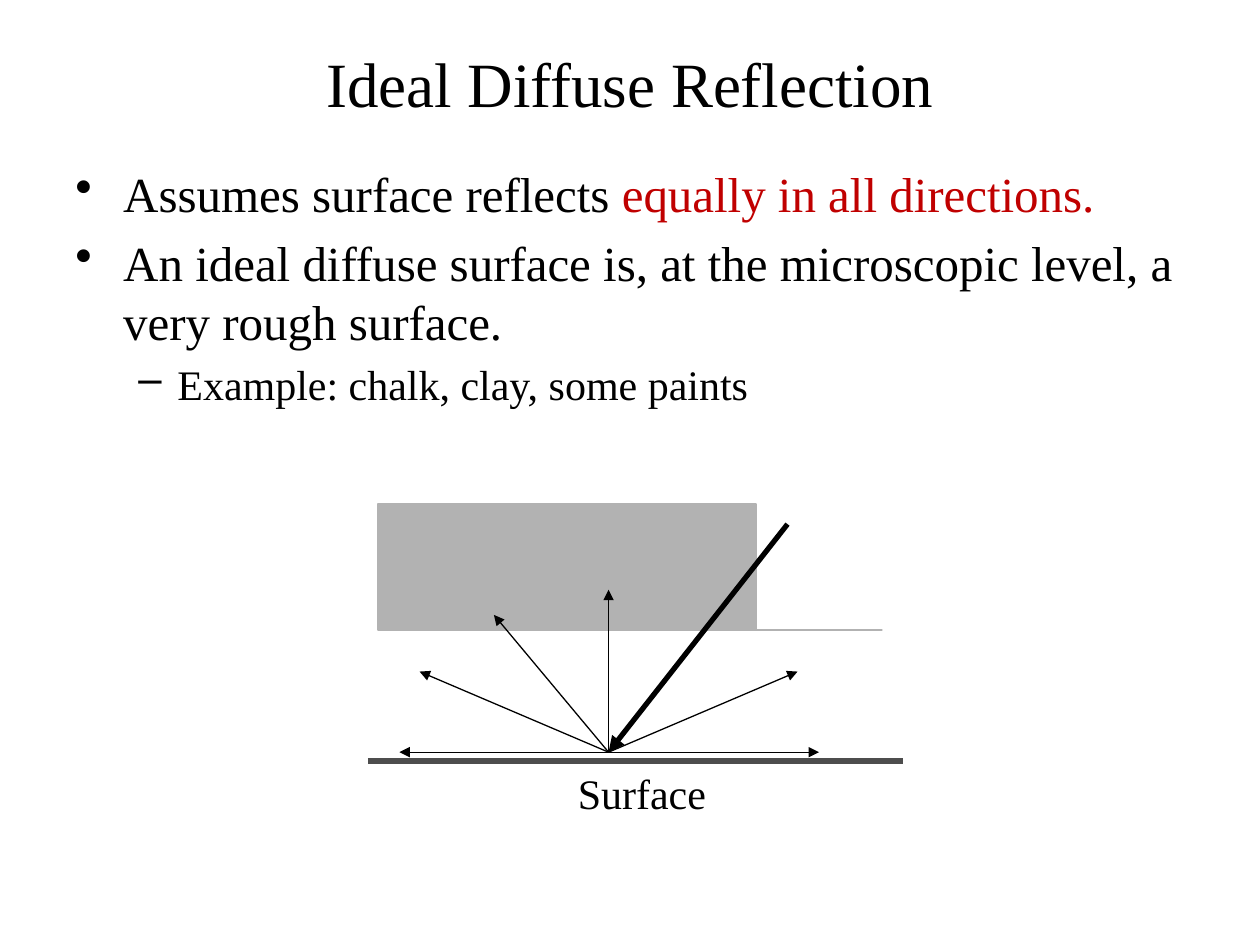
from dataclasses import dataclass
from math import cos, pi, sin

from pptx import Presentation
from pptx.dml.color import RGBColor
from pptx.enum.shapes import MSO_CONNECTOR as Connector
from pptx.enum.text import MSO_ANCHOR as Anchor, PP_ALIGN as Align
from pptx.oxml.xmlchemy import OxmlElement
from pptx.util import Inches, Pt

FONT = "Times New Roman"
COLORS = {"ink": "000000", "accent": "C00000", "dome": "B2B2B2",
          "hatch": "808080", "ground": "4D4D4D"}
WIDTH, HEIGHT = 10, 7.5
MARGIN = WIDTH / 20
HIT = (4.83, 5.97)  # where the light meets the surface
GROUND_Y = 6.04

Point = tuple[float, float]


@dataclass
class Bullet:
    runs: list[tuple[str, str]]  # text, colour name
    size: int = 28
    level: int = 0
    mark: str = "•"
    indent: float = 0.38
    hanging: float = 0.38


@dataclass
class Ray:
    start: Point
    end: Point
    width: float = 0.75
    color: str = "ink"
    arrow: bool = True


BULLETS = [
    Bullet([("Assumes surface reflects ", "ink"),
            ("equally in all directions.", "accent")]),
    Bullet([("An ideal diffuse surface is, at the microscopic level, "
             "a very rough surface.", "ink")]),
    Bullet([("Example: chalk, clay, some paints", "ink")],
           size=24, level=1, mark="–", indent=0.81, hanging=0.31),
]
REFLECTED_ENDS = [(3.92, 4.88), (3.33, 5.33), (6.33, 5.33),
                  (HIT[0], 4.68), (3.17, HIT[1]), (6.5, HIT[1])]
HATCH = [(2.92, GROUND_Y), (3.12, GROUND_Y), (3.12, 6.15), (3.11, 6.26),
         (3.09, 6.19), (3.07, 6.33), (3.03, 6.3), (3.01, 6.44), (2.99, 6.37),
         (2.97, 6.33), (2.95, 6.41), (2.93, 6.26), (2.92, 6.26)]


def rgb(name: str) -> RGBColor:
    return RGBColor.from_string(COLORS[name])


def style_font(font, size: int, color: str = "ink") -> None:
    font.name, font.size = FONT, Pt(size)
    font.color.rgb = rgb(color)


def add_text_frame(slide, left, top, width, height, wrap=True, anchor=Anchor.TOP):
    box = slide.shapes.add_textbox(*map(Inches, (left, top, width, height)))
    box.text_frame.word_wrap = wrap
    box.text_frame.vertical_anchor = anchor
    return box.text_frame


def add_label(slide, text: str, size: int, area, wrap: bool) -> None:
    paragraph = add_text_frame(slide, *area, wrap, Anchor.MIDDLE).paragraphs[0]
    paragraph.text = text
    paragraph.alignment = Align.CENTER
    style_font(paragraph.runs[0].font, size)


def write_bullet(paragraph, bullet: Bullet, first: bool) -> None:
    paragraph.level = bullet.level
    paragraph.space_before = Pt(0 if first else bullet.size * 0.2)
    properties = paragraph._p.get_or_add_pPr()
    properties.set("marL", str(Inches(bullet.indent)))
    properties.set("indent", str(-Inches(bullet.hanging)))
    mark = OxmlElement("a:buChar")
    mark.set("char", bullet.mark)
    properties.append(mark)
    for text, color in bullet.runs:
        run = paragraph.add_run()
        run.text = text
        style_font(run.font, bullet.size, color)


def arc(center: Point, radii: Point, start: float, end: float, steps: int) -> list[Point]:
    angles = [start + (end - start) * i / steps for i in range(steps + 1)]
    return [(center[0] + radii[0] * cos(a), center[1] - radii[1] * sin(a)) for a in angles]


def add_outline(slide, points: list[Point], color: str) -> None:
    first, *rest = points
    builder = slide.shapes.build_freeform(*first, scale=Inches(1))
    builder.add_line_segments(rest, close=True)
    shape = builder.convert_to_shape()
    shape.shadow.inherit = False
    shape.fill.solid()
    shape.fill.fore_color.rgb = rgb(color)
    shape.line.color.rgb = rgb(color)
    shape.line.width = Pt(0.75)


def add_ray(slide, ray: Ray) -> None:
    connector = slide.shapes.add_connector(
        Connector.STRAIGHT, *map(Inches, (*ray.start, *ray.end)))
    connector.line.color.rgb = rgb(ray.color)
    connector.line.width = Pt(ray.width)
    if ray.arrow:
        arrowhead = OxmlElement("a:tailEnd")
        arrowhead.set("type", "triangle")
        connector.line._get_or_add_ln().append(arrowhead)
    connector._element.spPr.append(OxmlElement("a:effectLst"))


def main() -> None:
    presentation = Presentation()
    presentation.slide_width, presentation.slide_height = Inches(WIDTH), Inches(HEIGHT)
    slide = presentation.slides.add_slide(presentation.slide_layouts[6])
    content_width = WIDTH - 2 * MARGIN

    # Title and bullets
    add_label(slide, "Ideal Diffuse Reflection", 36, (MARGIN, 0.3, content_width, 0.7), True)
    body = add_text_frame(slide, MARGIN, 1.25, content_width, 5.78)
    for index, bullet in enumerate(BULLETS):
        paragraph = body.add_paragraph() if index else body.paragraphs[0]
        write_bullet(paragraph, bullet, first=index == 0)

    # Dome with a small notch in its base
    center = (4.88, 4.81)
    dome = arc(center, (1.71, 0.56), 0, pi, 60) + arc(center, (0.04, 0.01), pi, 0, 8)
    add_outline(slide, dome, "dome")

    # Surface
    add_outline(slide, HATCH, "hatch")
    add_ray(slide, Ray((2.92, GROUND_Y), (7.17, GROUND_Y), 3, "ground", arrow=False))
    add_label(slide, "Surface", 24, (4.48, GROUND_Y, 1.23, 0.5), False)

    # Incoming light, then reflected rays
    add_ray(slide, Ray((6.25, 4.16), HIT, 3))
    for end in REFLECTED_ENDS:
        add_ray(slide, Ray(HIT, end))

    presentation.save("out.pptx")


if __name__ == "__main__":
    main()
